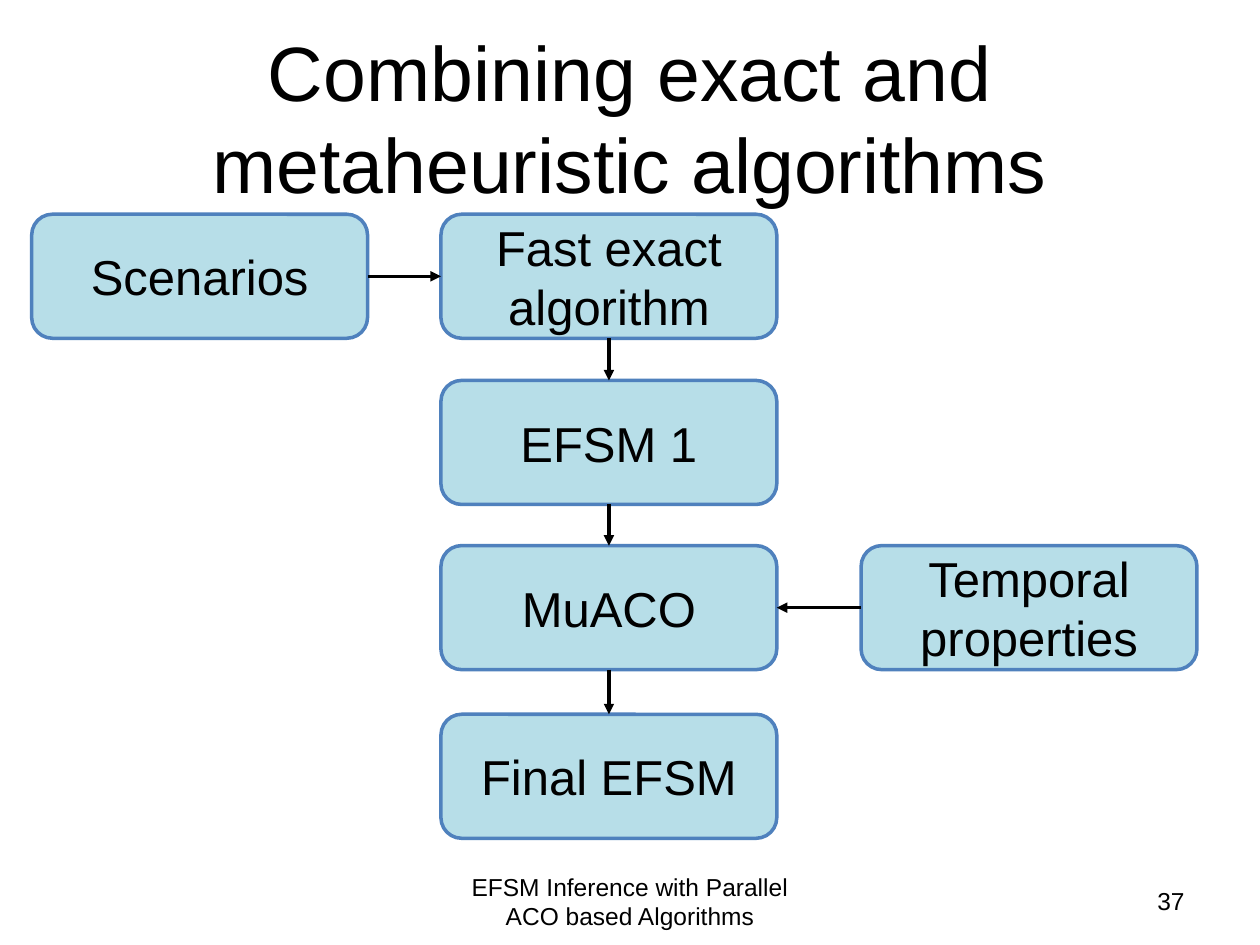
from pptx import Presentation
from pptx.dml.color import RGBColor
from pptx.enum.shapes import MSO_CONNECTOR as Connector, MSO_SHAPE as Shape
from pptx.enum.text import MSO_ANCHOR as Anchor, PP_ALIGN as Align
from pptx.oxml.ns import qn
from pptx.util import Cm, Pt
from lxml import etree

BLACK = RGBColor(0x00, 0x00, 0x00)
BOX_FILL = RGBColor(0xB7, 0xDE, 0xE8)
BOX_LINE = RGBColor(0x4F, 0x81, 0xBD)

BOX_WIDTH, BOX_HEIGHT = Cm(6.77), Cm(2.5)
LEFT, CENTER, RIGHT = 0.64, 8.89, 17.36
ROWS = [4.32, 7.67, 11, 14.4]
TOP_SIDE, LEFT_SIDE, BOTTOM_SIDE, RIGHT_SIDE = range(4)


def write_text(shape, text, size, alignment=Align.CENTER):
    frame = shape.text_frame
    for name, value in {"word_wrap": True, "vertical_anchor": Anchor.MIDDLE}.items():
        setattr(frame, name, value)
    paragraph = frame.paragraphs[0]
    paragraph.alignment = alignment
    run = paragraph.add_run()
    run.text = text
    for name, value in {"name": "Arial", "size": Pt(size)}.items():
        setattr(run.font, name, value)
    run.font.color.rgb = BLACK


presentation = Presentation()
presentation.slide_width = Cm(25.4)
presentation.slide_height = Cm(19.05)
slide = presentation.slides.add_slide(presentation.slide_layouts[6])

# Title, footer and slide number
for text, left, top, width, height, size, alignment in [
    ("Combining exact and metaheuristic algorithms", 1.27, 0.76, 22.86, 3.18, 44, Align.CENTER),
    ("EFSM Inference with Parallel ACO based Algorithms", 8.68, 17.66, 8.04, 1.01, 14, Align.CENTER),
    ("37", 18.2, 17.66, 5.93, 1.01, 14, Align.RIGHT),
]:
    text_box = slide.shapes.add_textbox(Cm(left), Cm(top), Cm(width), Cm(height))
    write_text(text_box, text, size, alignment)

# Flow chart boxes
boxes = {}
for text, left, top in [
    ("Scenarios", LEFT, ROWS[0]),
    ("Fast exact algorithm", CENTER, ROWS[0]),
    ("EFSM 1", CENTER, ROWS[1]),
    ("MuACO", CENTER, ROWS[2]),
    ("Temporal properties", RIGHT, ROWS[2]),
    ("Final EFSM", CENTER, ROWS[3]),
]:
    box = slide.shapes.add_shape(
        Shape.ROUNDED_RECTANGLE, Cm(left), Cm(top), BOX_WIDTH, BOX_HEIGHT
    )
    box.shadow.inherit = False
    box.fill.solid()
    box.fill.fore_color.rgb = BOX_FILL
    box.line.color.rgb = BOX_LINE
    box.line.width = Pt(2)
    write_text(box, text, 28)
    boxes[text] = box

# Arrows between the boxes
for source, source_side, target, target_side in [
    ("Scenarios", RIGHT_SIDE, "Fast exact algorithm", LEFT_SIDE),
    ("Fast exact algorithm", BOTTOM_SIDE, "EFSM 1", TOP_SIDE),
    ("EFSM 1", BOTTOM_SIDE, "MuACO", TOP_SIDE),
    ("Temporal properties", LEFT_SIDE, "MuACO", RIGHT_SIDE),
    ("MuACO", BOTTOM_SIDE, "Final EFSM", TOP_SIDE),
]:
    arrow = slide.shapes.add_connector(Connector.STRAIGHT, 0, 0, 0, 0)
    arrow.begin_connect(boxes[source], source_side)
    arrow.end_connect(boxes[target], target_side)
    arrow.line.color.rgb = BLACK
    arrow.line.width = Pt(2)
    etree.SubElement(arrow.line._get_or_add_ln(), qn("a:tailEnd"), type="triangle")
    etree.SubElement(arrow._element.spPr, qn("a:effectLst"))

presentation.save("out.pptx")
